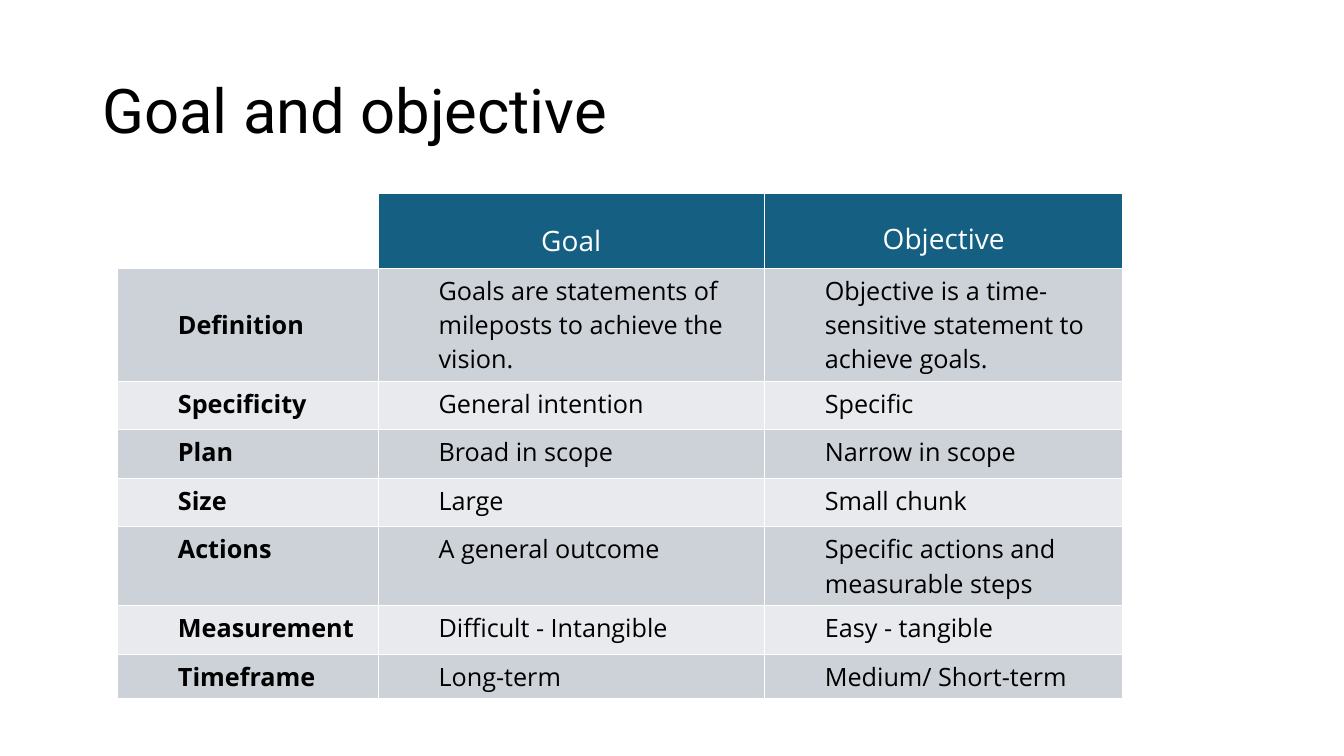
from pptx import Presentation
from pptx.dml.color import RGBColor
from pptx.enum.text import MSO_ANCHOR, PP_ALIGN
from pptx.oxml import parse_xml
from pptx.oxml.ns import nsdecls
from pptx.util import Pt

THEME = {
    "ink": "000000", "white": "FFFFFF", "head": "156082",
    "bands": ["CCD2D8", "E8EAED"],
    "title": 44, "header": 20, "body": 18,
    "display": "Roboto", "text": "Open Sans",
}


def write(frame, text, size, color="ink", font="text", bold=False,
          align=PP_ALIGN.LEFT, space=None):
    para = frame.paragraphs[0]
    para.alignment = align
    para.line_spacing = space
    run = para.add_run()
    run.text = text
    run.font.size = Pt(THEME[size])
    run.font.name = THEME[font]
    run.font.bold = bold
    run.font.color.rgb = RGBColor.from_string(THEME[color])


def edge(cell):
    for side in "LRTB":
        cell._tc.get_or_add_tcPr().append(parse_xml(
            f'<a:ln{side} {nsdecls("a")} w="12700"><a:solidFill>'
            f'<a:srgbClr val="{THEME["white"]}"/></a:solidFill></a:ln{side}>'))


deck = Presentation()
deck.slide_width, deck.slide_height = Pt(960), Pt(540)
slide = deck.slides.add_slide(deck.slide_layouts[6])

# Title
title = slide.shapes.add_textbox(Pt(66), Pt(28.8), Pt(828), Pt(104.4)).text_frame
title.word_wrap = True
title.vertical_anchor = MSO_ANCHOR.MIDDLE
write(title, "Goal and objective", "title", font="display", space=0.9)

# Table content
rows = [
    ("", "Goal", "Objective"),
    ("Definition", "Goals are statements of mileposts to achieve the vision.",
     "Objective is a time-sensitive statement to achieve goals."),
    ("Specificity", "General intention", "Specific"),
    ("Plan", "Broad in scope", "Narrow in scope"),
    ("Size", "Large", "Small chunk"),
    ("Actions", "A general outcome", "Specific actions and measurable steps"),
    ("Measurement", "Difficult - Intangible", "Easy - tangible"),
    ("Timeframe", "Long-term", "Medium/ Short-term"),
]
widths = [186.2, 275.9, 256.2]
heights = [53.5, 80.6, 34.7, 34.7, 34.7, 56.3, 34.7, 31.6]
drops = [3.6, 20, 18.6]  # top margins of the header cells

# Table grid
table = slide.shapes.add_table(len(rows), len(widths), Pt(83.9), Pt(138.2),
                               Pt(sum(widths)), Pt(sum(heights))).table
table.first_row = table.horz_banding = False
for col, width in zip(table.columns, widths):
    col.width = Pt(width)
for row, height in zip(table.rows, heights):
    row.height = Pt(height)

# Table cells
for r, texts in enumerate(rows):
    for c, text in enumerate(texts):
        cell = table.cell(r, c)
        edge(cell)
        if not text:
            cell.fill.background()
            continue
        cell.fill.solid()
        if r == 0:
            fill = THEME["head"]
            cell.margin_top = Pt(drops[c])
            write(cell.text_frame, text, "header", color="white",
                  align=PP_ALIGN.CENTER)
        else:
            fill = THEME["bands"][(r - 1) % 2]
            cell.margin_left = Pt(43.2)
            if text == "Definition":
                cell.vertical_anchor = MSO_ANCHOR.MIDDLE
            write(cell.text_frame, text, "body", bold=c == 0)
        cell.fill.fore_color.rgb = RGBColor.from_string(fill)

deck.save("out.pptx")
